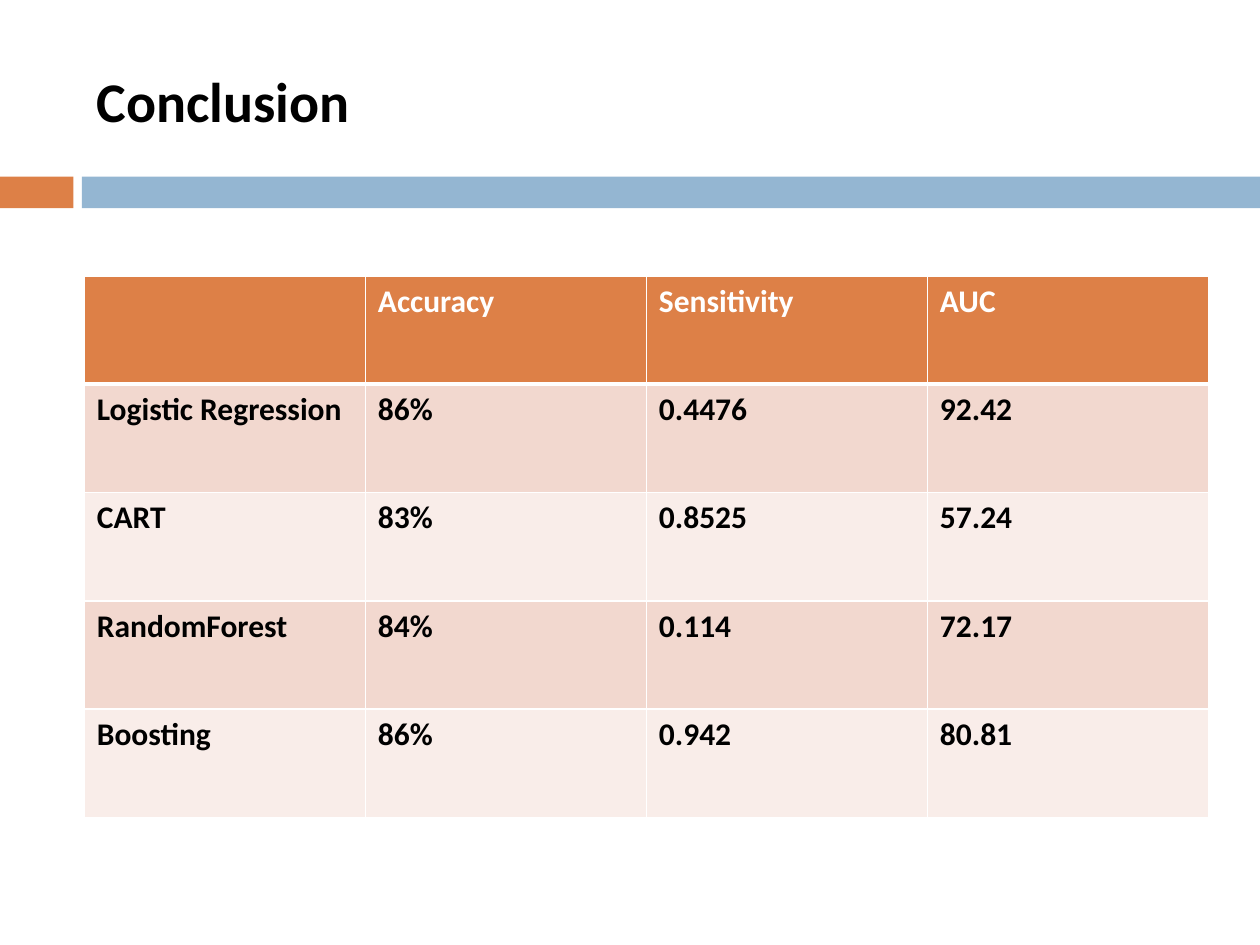
from lxml import etree
from pptx import Presentation
from pptx.dml.color import RGBColor
from pptx.enum.shapes import MSO_SHAPE
from pptx.enum.text import MSO_ANCHOR
from pptx.oxml.ns import qn
from pptx.util import Cm, Pt

RECT = MSO_SHAPE.RECTANGLE
MIDDLE = MSO_ANCHOR.MIDDLE

COLORS = {
    "accent": "DD8047",
    "bar": "94B6D2",
    "band_dark": "F2D8CF",
    "band_light": "F9EDE9",
    "text": "000000",
    "white": "FFFFFF",
}

RESULTS = [
    ["", "Accuracy", "Sensitivity", "AUC"],
    ["Logistic Regression", "86%", "0.4476", "92.42"],
    ["CART", "83%", "0.8525", "57.24"],
    ["RandomForest", "84%", "0.114", "72.17"],
    ["Boosting", "86%", "0.942", "80.81"],
]


def rgb(name):
    return RGBColor.from_string(COLORS[name])


class SlideBuilder:
    font = "Calibri"

    def __init__(self, slide):
        self.slide = slide

    def add_text(self, tf, text, size, color):
        r = tf.paragraphs[0].add_run()
        r.text = text
        style = {"name": self.font, "size": Pt(size), "bold": True}
        for key, value in style.items():
            setattr(r.font, key, value)
        r.font.color.rgb = rgb(color)

    def bar(self, x, y, w, h, color):
        s = self.slide.shapes.add_shape(RECT, Cm(x), Cm(y), Cm(w), Cm(h))
        s.shadow.inherit = False
        s.fill.solid()
        s.fill.fore_color.rgb = rgb(color)
        s.line.fill.background()

    def title(self, x, y, w, h, text):
        s = self.slide.shapes.add_textbox(Cm(x), Cm(y), Cm(w), Cm(h))
        tf = s.text_frame
        tf.word_wrap = True
        tf.vertical_anchor = MIDDLE
        self.add_text(tf, text, 32, "text")

    def borders(self, cell, widths):
        """Draw white cell borders; widths maps each side (L, R, T, B) to points."""
        tc_pr = cell._tc.get_or_add_tcPr()
        for side, width in widths.items():
            ln = etree.SubElement(tc_pr, qn(f"a:ln{side}"), w=str(Pt(width)))
            fill = etree.SubElement(ln, qn("a:solidFill"))
            etree.SubElement(fill, qn("a:srgbClr"), val=COLORS["white"])

    def table(self, x, y, w, h, rows):
        """Add a table with a header row, banded body rows and a thick header rule."""
        frame = self.slide.shapes.add_table(
            len(rows), len(rows[0]), Cm(x), Cm(y), Cm(w), Cm(h))
        for i, row in enumerate(rows):
            if i == 0:
                fill, color = "accent", "white"
            else:
                fill, color = "band_dark" if i % 2 else "band_light", "text"
            widths = {"L": 1, "R": 1, "T": 3 if i == 1 else 1, "B": 3 if i == 0 else 1}
            for j, text in enumerate(row):
                cell = frame.table.cell(i, j)
                self.borders(cell, widths)
                cell.fill.solid()
                cell.fill.fore_color.rgb = rgb(fill)
                if text:
                    self.add_text(cell.text_frame, text, 18, color)


def main():
    prs = Presentation()
    prs.slide_width, prs.slide_height = Cm(25.4), Cm(19.05)
    b = SlideBuilder(prs.slides.add_slide(prs.slide_layouts[6]))
    b.bar(0, 3.56, 1.48, 0.64, "accent")
    b.bar(1.65, 3.56, 23.75, 0.64, "bar")
    b.title(1.7, 0.64, 22.66, 2.74, "Conclusion")
    b.table(1.7, 5.56, 22.66, 10.92, RESULTS)
    prs.save("out.pptx")


if __name__ == "__main__":
    main()
